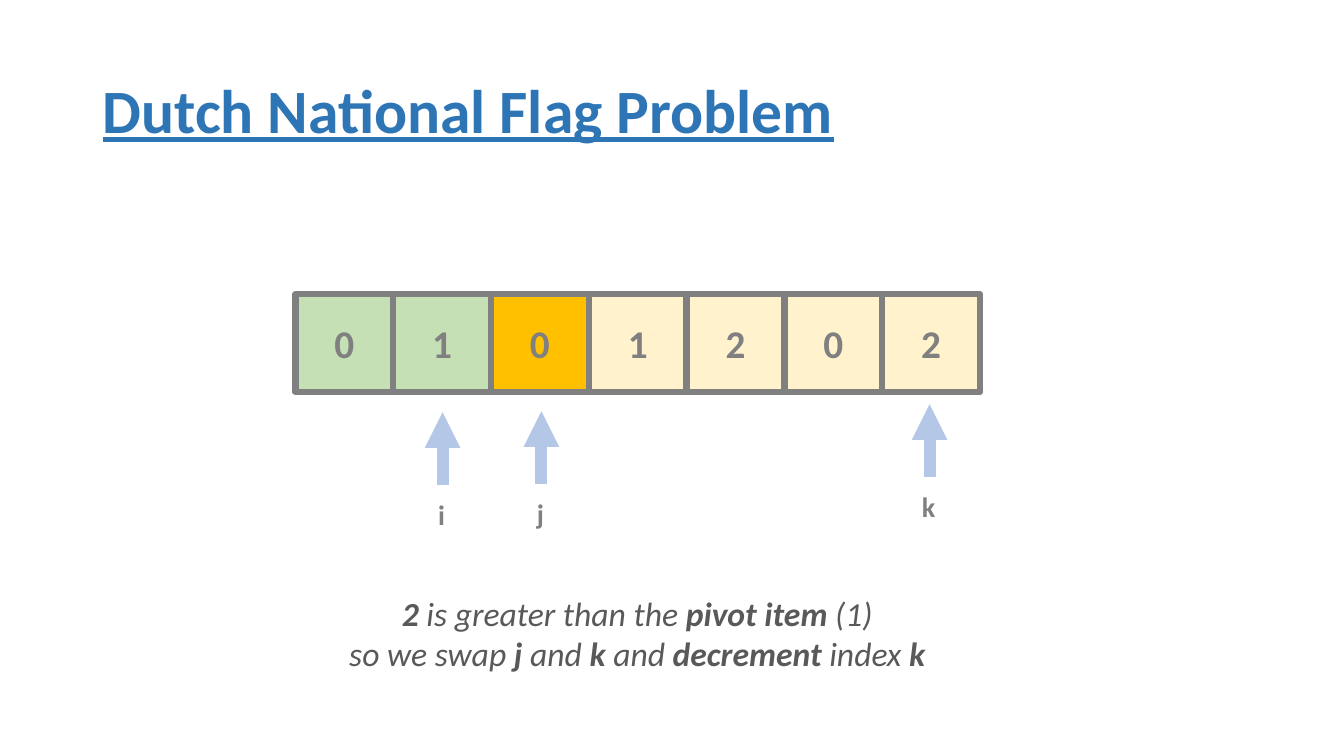
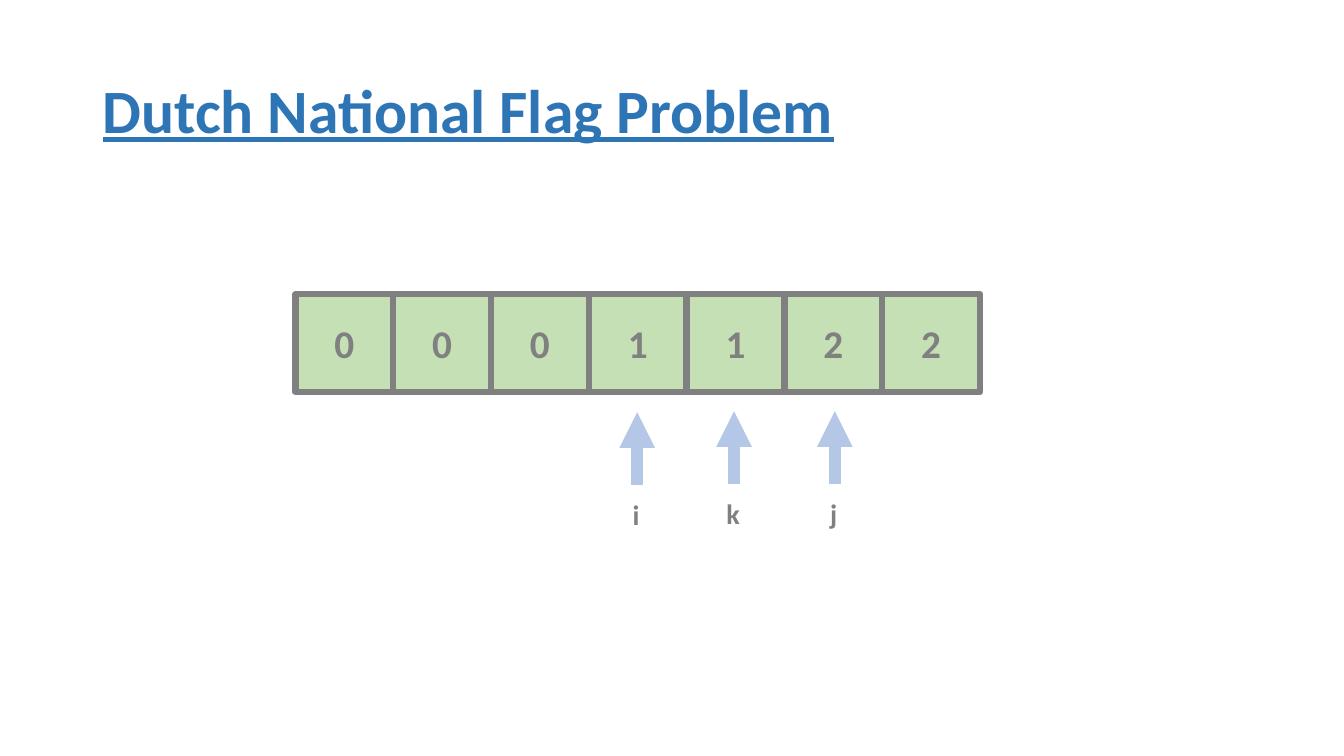
from lxml import etree
from pptx import Presentation
from pptx.dml.color import RGBColor
from pptx.enum.shapes import MSO_CONNECTOR, MSO_SHAPE
from pptx.enum.text import MSO_ANCHOR, PP_ALIGN
from pptx.oxml.ns import qn
from pptx.util import Pt

PX = 9144
RECTANGLE = MSO_SHAPE.RECTANGLE
STRAIGHT = MSO_CONNECTOR.STRAIGHT
MIDDLE, TOP = MSO_ANCHOR.MIDDLE, MSO_ANCHOR.TOP
CENTER, LEFT = PP_ALIGN.CENTER, PP_ALIGN.LEFT

FONT = "Calibri"
BLUE, GRAY, DARK_GRAY = "2E75B6", "808080", "595959"
ARROW_BLUE = "B4C7E7"
GREEN, ORANGE, CREAM = "C5E0B4", "FFC000", "FFF2CC"

TITLE = "Dutch National Flag Problem"
CELL_LEFT, CELL_TOP, CELL_SIZE = 293, 292, 97
ARROW_LENGTH = 72
LABEL_GAP, LABEL_WIDTH, LABEL_HEIGHT = 8, 34, 44

SLIDES = [
    {
        "cells": zip("0101202", [GREEN] * 2 + [ORANGE] + [CREAM] * 4),
        "pointers": [("i", 439, 409), ("k", 922, 401), ("j", 537, 408)],
        "note": [
            [("2", True), (" is greater than the ", False), ("pivot item ", True), ("(1)", False)],
            [("so we swap ", False), ("j", True), (" and ", False), ("k ", True),
             ("and ", False), ("decrement", True), (" index ", False), ("k", True)],
        ],
    },
    {
        "cells": zip("0001122", [GREEN] * 7),
        "pointers": [("i", 632, 409), ("k", 728, 408), ("j", 828, 408)],
        "note": [],
    },
]


def color(hex_string):
    return RGBColor.from_string(hex_string)


def write(box, lines, size, text_color, align=CENTER, anchor=TOP, wrap=False,
          italic=False, underline=False, spacing=1.0):
    frame = box.text_frame
    frame.word_wrap = wrap
    frame.vertical_anchor = anchor
    for index, line in enumerate(lines):
        para = frame.add_paragraph() if index else frame.paragraphs[0]
        para.alignment = align
        para.line_spacing = spacing
        for text, bold in line:
            span = para.add_run()
            span.text = text
            span.font.name = FONT
            span.font.size = Pt(size)
            span.font.bold = bold
            span.font.italic = italic
            span.font.underline = underline
            span.font.color.rgb = color(text_color)


deck = Presentation()
deck.slide_width, deck.slide_height = 1333 * PX, 750 * PX

for content in SLIDES:
    page = deck.slides.add_slide(deck.slide_layouts[6])
    shapes = page.shapes

    title = shapes.add_textbox(92 * PX, 40 * PX, 1150 * PX, 145 * PX)
    write(title, [[(TITLE, True)]], 44, BLUE, LEFT, MIDDLE,
          wrap=True, underline=True, spacing=0.9)

    for column, (digit, fill) in enumerate(content["cells"]):
        cell = shapes.add_shape(RECTANGLE, (CELL_LEFT + column * CELL_SIZE) * PX,
                                CELL_TOP * PX, CELL_SIZE * PX, CELL_SIZE * PX)
        cell.shadow.inherit = False
        cell.fill.solid()
        cell.fill.fore_color.rgb = color(fill)
        cell.line.color.rgb = color(GRAY)
        cell.line.width = Pt(4.5)
        write(cell, [[(digit, True)]], 28, GRAY, anchor=MIDDLE, wrap=True)

    for name, x, tip in content["pointers"]:
        base = tip + ARROW_LENGTH
        arrow = shapes.add_connector(STRAIGHT, x * PX, base * PX, x * PX, tip * PX)
        arrow.line.color.rgb = color(ARROW_BLUE)
        arrow.line.width = Pt(8.5)
        etree.SubElement(arrow.line._get_or_add_ln(), qn("a:tailEnd"), type="triangle")
        etree.SubElement(arrow._element.spPr, qn("a:effectLst"))
        label = shapes.add_textbox((x - 1 - LABEL_WIDTH // 2) * PX, (base + LABEL_GAP) * PX,
                                   LABEL_WIDTH * PX, LABEL_HEIGHT * PX)
        write(label, [[(name, True)]], 20, GRAY)

    if content["note"]:
        note = shapes.add_textbox(334 * PX, 583 * PX, 596 * PX, 91 * PX)
        write(note, content["note"], 24, DARK_GRAY, italic=True)

deck.save("out.pptx")
